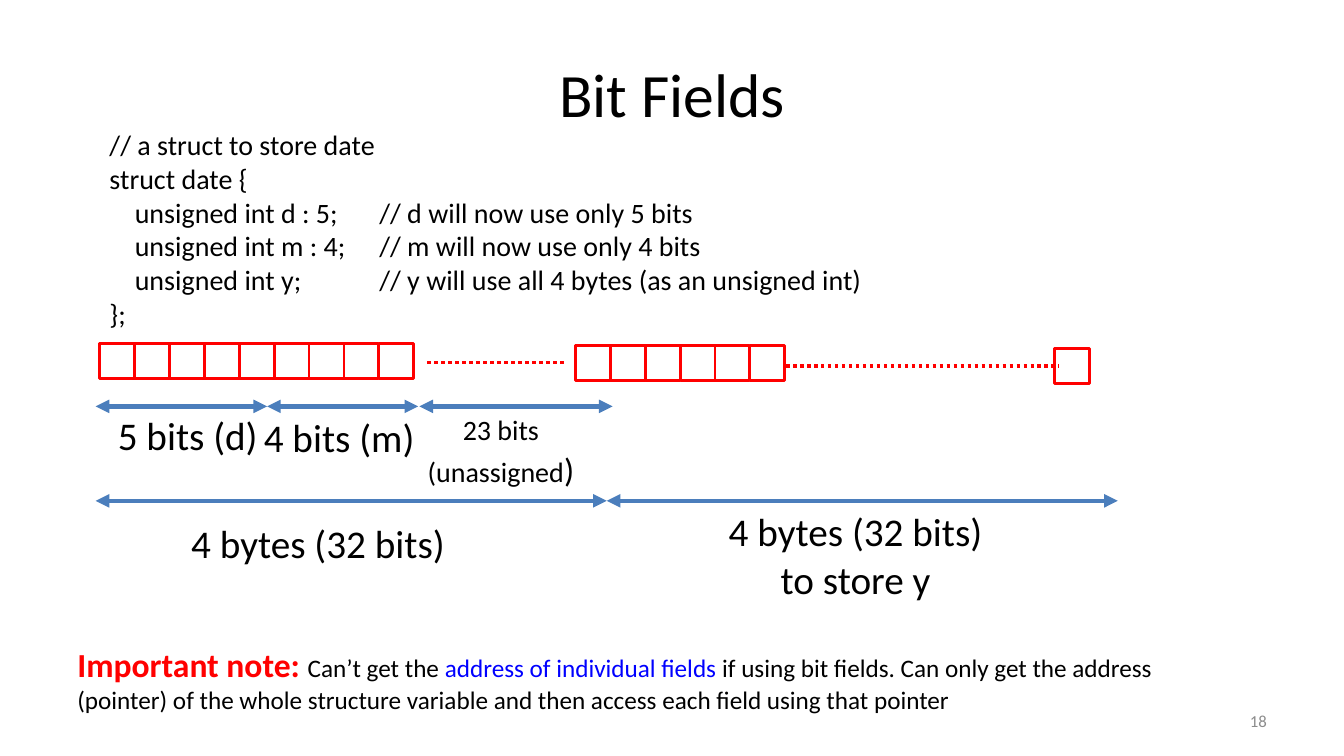
"""Build the slide on C bit fields and their memory layout."""
from lxml import etree
from pptx import Presentation
from pptx import util as u
from pptx.dml.color import RGBColor
from pptx.enum import dml, shapes, text
from pptx.oxml.ns import qn

RED, BLUE, BLACK, WHITE = "FF0000", "4B7EBC", "000000", "FFFFFF"
LEFT, MID, RIGHT = text.PP_ALIGN.LEFT, text.PP_ALIGN.CENTER, text.PP_ALIGN.RIGHT


def tint(part, code):
    part.rgb = RGBColor.from_string(code)


def write(par, words, size=28, color=BLACK, bold=False):
    run = par.add_run()
    run.text = words
    font = run.font
    font.name, font.size, font.bold = "Calibri", u.Pt(size), bold
    tint(font.color, color)


class Page:
    def __init__(self, deck):
        self.slide = deck.slides.add_slide(deck.slide_layouts[5])
        self.items = self.slide.shapes

    def title(self, words, *area):
        box = self.items.title
        box.left, box.top, box.width, box.height = map(u.Cm, area)
        par = box.text_frame.paragraphs[0]
        par.alignment = MID
        write(par, words, size=44)

    def text(self, lines, *area, align=LEFT, wrap=True, gap=0, tab=None,
             anchor=text.MSO_ANCHOR.TOP, **style):
        frame = self.items.add_textbox(*map(u.Cm, area)).text_frame
        frame.word_wrap = wrap
        frame.vertical_anchor = anchor
        for i, line in enumerate(lines):
            par = frame.add_paragraph() if i else frame.paragraphs[0]
            par.alignment = align
            if i and gap:
                par.space_before = u.Pt(gap)
            if tab:
                stops = etree.SubElement(par._p.get_or_add_pPr(), qn("a:tabLst"))
                etree.SubElement(stops, qn("a:tab"), pos=str(u.Cm(tab)), algn="l")
            spans = [(line, {})] if isinstance(line, str) else line
            for words, extra in spans:
                write(par, words, **{**style, **extra})

    def cells(self, left, top, count, side=0.88):
        for i in range(count):
            area = map(u.Cm, (left + i * side, top, side, side))
            cell = self.items.add_shape(shapes.MSO_SHAPE.RECTANGLE, *area)
            cell.shadow.inherit = False
            cell.fill.solid()
            tint(cell.fill.fore_color, WHITE)
            tint(cell.line.color, RED)
            cell.line.width = u.Pt(2)

    def line(self, start, end, y, color, width):
        ends = map(u.Cm, (start, y, end, y))
        link = self.items.add_connector(shapes.MSO_CONNECTOR.STRAIGHT, *ends)
        tint(link.line.color, color)
        link.line.width = u.Pt(width)
        etree.SubElement(link._element.spPr, qn("a:effectLst"))
        return link.line

    def dots(self, start, end, y):
        self.line(start, end, y, RED, 2.5).dash_style = dml.MSO_LINE.ROUND_DOT

    def arrow(self, start, end, y):
        line = self.line(start, end, y, BLUE, 3.25)
        for tip in ("a:headEnd", "a:tailEnd"):
            etree.SubElement(line._get_or_add_ln(), qn(tip), type="triangle")


def main():
    deck = Presentation()
    deck.slide_width, deck.slide_height = u.Cm(33.87), u.Cm(19.05)
    page = Page(deck)
    page.title("Bit Fields", 1.7, 0.76, 30.48, 3.18)

    for row in ((2.51, 8.66, 9), (14.5, 8.71, 6), (26.57, 8.79, 1)):
        page.cells(*row)
    page.dots(10.77, 14.22, 9.14)
    page.dots(19.81, 26.7, 9.22)

    for start, end in ((2.41, 6.73), (6.73, 10.54), (10.57, 15.44)):
        page.arrow(start, end, 10.24)
    for start, end in ((2.41, 15.29), (15.29, 28.17)):
        page.arrow(start, end, 12.62)

    page.text(["5 bits (d)"], 2.72, 10.24, 4.09, 1.45, wrap=False)
    page.text(["4 bits (m)"], 6.4, 10.29, 4.34, 1.45, wrap=False)
    page.text(["23 bits", [("(unassigned", {}), (")", {"size": 24})]],
              10.2, 10.28, 4.85, 2.2, align=MID, gap=2, size=20)
    page.text(["4 bytes (32 bits)"], 4.57, 12.95, 6.99, 1.45, wrap=False)
    page.text(["4 bytes (32 bits)", "to store y"],
              18.06, 12.67, 7.0, 2.64, align=MID, wrap=False)

    page.text(["// a struct to store date",
               "struct date {",
               "    unsigned int d : 5;\t// d will now use only 5 bits",
               "    unsigned int m : 4;\t// m will now use only 4 bits",
               "    unsigned int y;\t// y will use all 4 bytes (as an unsigned int)",
               "};"], 2.51, 3.1, 19.74, 5.38, tab=6.8, size=20)
    page.text([[("Important note: ", {"size": 24, "color": RED, "bold": True}),
                ("Can’t get the ", {}),
                ("address of individual fields ", {"color": "0000FF"}),
                ("if using bit fields. Can only get the address (pointer) of the "
                 "whole structure variable and then access each field using that "
                 "pointer", {})]], 1.7, 16.1, 28.47, 2.06, size=18)
    page.text(["18"], 24.28, 17.65, 7.9, 1.02, align=RIGHT,
              anchor=text.MSO_ANCHOR.MIDDLE, size=12, color="8C8C8C")
    deck.save("out.pptx")


if __name__ == "__main__":
    main()
